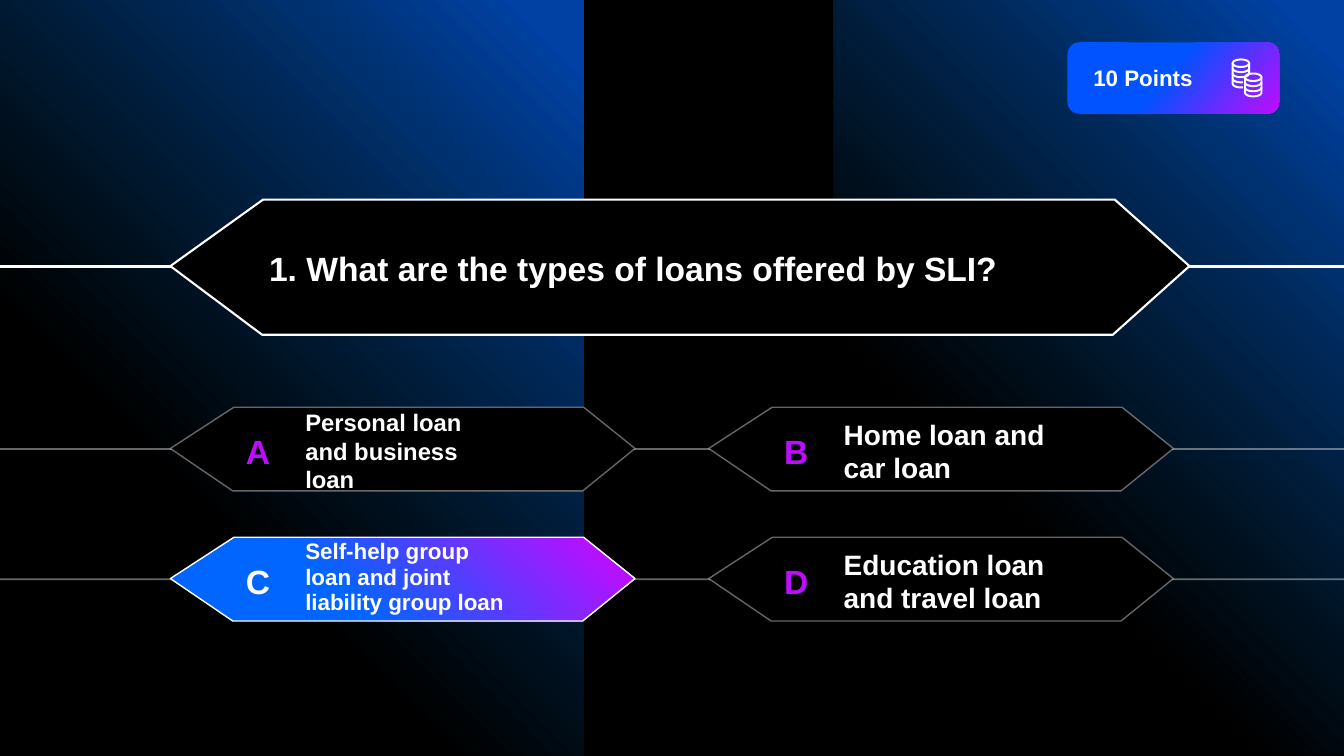
"""Build a quiz slide with one question, four answers and a points badge."""
import math

import lxml.etree
import pptx
import pptx.dml.color
import pptx.enum.shapes
import pptx.enum.text
import pptx.oxml
import pptx.oxml.ns
import pptx.util

Pt = pptx.util.Pt
SHAPES = pptx.enum.shapes.MSO_SHAPE
ALIGN = pptx.enum.text.PP_ALIGN
MIDDLE = pptx.enum.text.MSO_ANCHOR.MIDDLE
qn = pptx.oxml.ns.qn

WHITE, BLACK, PURPLE = "FFFFFF", "000000", "BD0DFF"
FONT = "Arial"
WIDTH, HEIGHT = 960, 540

QUESTION = "1. What are the types of loans offered by SLI?"
ANSWERS = [
    ("A", "Personal loan and business loan", 17, 1.0, 2.2),
    ("B", "Home loan and car loan", 20, 1.0, 2.2),
    ("C", "Self-help group loan and joint liability group loan", 16, 0.95, 0),
    ("D", "Education loan and travel loan", 20, 1.0, 2.2),
]
CORRECT = "C"
POINTS = "10 Points"

PANELS = [(0, 416.9, 540), (595.4, 364.6, 538.6)]
PANEL_STOPS = [(6, "0066FF", 63), (66, "0070C0", 0), (100, BLACK, 0)]
CORRECT_STOPS = [(7, PURPLE, 100), (64, "0066FF", 100)]
BADGE_STOPS = [(47, "0053FF", 100), (99, PURPLE, 100)]
TOP_RIGHT = '<a:path path="circle"><a:fillToRect l="100000" b="100000"/></a:path>'
DIAGONAL = '<a:lin ang="2400000" scaled="0"/>'

QUESTION_AT = (121.7, 142.6)
QUESTION_OUTLINE = [(0, 47.5), (66.2, 0), (674.6, 0), (727.9, 47.5), (673.2, 96.5), (65.5, 96.5)]
ANSWER_OUTLINE = [(0, 29.5), (45.4, 0), (295.2, 0), (331.9, 29.5), (294.5, 59.8), (44.6, 59.8)]
COLUMNS = (121.7, 506.2)
ROWS = (290.9, 383.8)

COIN_RX, COIN_RY, COIN_STEP = 5.9, 2.7, 3.65
COIN_STACKS = [
    (886.4, 45.2, [180, 180, 105, 105]),
    (895.2, 55.2, [180, 180, 180]),
]


def rgb(value):
    return pptx.dml.color.RGBColor.from_string(value)


def gradient(shape, stops, direction):
    stop_xml = "".join(
        f'<a:gs pos="{pos * 1000}"><a:srgbClr val="{color}"><a:alpha val="{alpha * 1000}"/></a:srgbClr></a:gs>'
        for pos, color, alpha in stops)
    shape.fill.background()
    empty = shape._element.spPr.find(qn("a:noFill"))
    empty.getparent().replace(empty, pptx.oxml.parse_xml(
        f'<a:gradFill {pptx.oxml.ns.nsdecls("a")} rotWithShape="1">'
        f'<a:gsLst>{stop_xml}</a:gsLst>{direction}</a:gradFill>'))


def outline(shape, width, opacity=100):
    shape.line.color.rgb = rgb(WHITE)
    shape.line.width = Pt(width)
    if opacity < 100:
        color = shape._element.spPr.find(qn("a:ln")).find(".//" + qn("a:srgbClr"))
        lxml.etree.SubElement(color, qn("a:alpha")).set("val", str(opacity * 1000))


def write(frame, text, size, color=WHITE, align=ALIGN.LEFT, spacing=1.0):
    frame.word_wrap = True
    frame.vertical_anchor = MIDDLE
    paragraph = frame.paragraphs[0]
    paragraph.alignment = align
    paragraph.line_spacing = spacing
    run = paragraph.add_run()
    run.text = text
    run.font.name = FONT
    run.font.size = Pt(size)
    run.font.bold = True
    run.font.color.rgb = rgb(color)


def add_text(slide, left, top, width, height, *content, **style):
    box = slide.shapes.add_textbox(Pt(left), Pt(top), Pt(width), Pt(height))
    write(box.text_frame, *content, **style)


def add_rule(slide, y, width, opacity=100):
    rule = slide.shapes.add_connector(
        pptx.enum.shapes.MSO_CONNECTOR.STRAIGHT, 0, Pt(y), Pt(WIDTH), Pt(y))
    outline(rule, width, opacity)
    lxml.etree.SubElement(rule._element.spPr, qn("a:effectLst"))


def add_outline(slide, contours, close):
    contours = [[(Pt(x), Pt(y)) for x, y in contour] for contour in contours]
    builder = slide.shapes.build_freeform(*contours[0][0])
    for index, contour in enumerate(contours):
        if index:
            builder.move_to(*contour[0])
        builder.add_line_segments(contour[1:], close=close)
    shape = builder.convert_to_shape()
    shape.shadow.inherit = False
    return shape


def add_hexagon(slide, left, top, corners):
    return add_outline(slide, [[(left + x, top + y) for x, y in corners]], True)


def add_filled(slide, kind, left, top, width, height, stops, direction):
    shape = slide.shapes.add_shape(kind, Pt(left), Pt(top), Pt(width), Pt(height))
    shape.shadow.inherit = False
    shape.line.fill.background()
    gradient(shape, stops, direction)
    return shape


def coin_arc(x, y, start, sweep):
    angles = [math.radians(start - step) for step in range(0, sweep + 1, 15)]
    return [(x + COIN_RX * math.cos(a), y + COIN_RY * math.sin(a)) for a in angles]


def add_coins(slide, x, top, sweeps):
    contours = [coin_arc(x, top, 360, 360)]
    for layer, sweep in enumerate(sweeps, 1):
        edge = coin_arc(x, top + layer * COIN_STEP, 180, sweep)
        contours.append([(x - COIN_RX, top + (layer - 1) * COIN_STEP)] + edge)
        if sweep == 180:
            contours[-1].append((x + COIN_RX, top + (layer - 1) * COIN_STEP))
    stack = add_outline(slide, contours, False)
    stack.fill.background()
    outline(stack, 1.4)


def add_answer(slide, left, top, letter, text, size, spacing, drop):
    correct = letter == CORRECT
    hexagon = add_hexagon(slide, left, top, ANSWER_OUTLINE)
    if correct:
        gradient(hexagon, CORRECT_STOPS, TOP_RIGHT)
    else:
        hexagon.fill.solid()
        hexagon.fill.fore_color.rgb = rgb(BLACK)
    outline(hexagon, 1, 100 if correct else 40)
    add_text(slide, left + 89.3, top + drop, 160, 57.6, text, size, spacing=spacing)
    add_text(slide, left + 43.9, top + 2.2, 37.4, 57.6, letter, 24,
             color=WHITE if correct else PURPLE, align=ALIGN.CENTER)


def main():
    deck = pptx.Presentation()
    deck.slide_width, deck.slide_height = Pt(WIDTH), Pt(HEIGHT)
    slide = deck.slides.add_slide(deck.slide_layouts[5])
    slide.background.fill.solid()
    slide.background.fill.fore_color.rgb = rgb(BLACK)

    for left, width, height in PANELS:
        add_filled(slide, SHAPES.RECTANGLE, left, 0, width, height, PANEL_STOPS, TOP_RIGHT)

    add_rule(slide, 190.4, 1.5)
    frame = add_hexagon(slide, *QUESTION_AT, QUESTION_OUTLINE)
    frame.fill.solid()
    frame.fill.fore_color.rgb = rgb(BLACK)
    outline(frame, 1.5)
    title = slide.shapes.title
    title.left, title.top, title.width, title.height = Pt(185), Pt(143.3), Pt(606.2), Pt(95.8)
    write(title.text_frame, QUESTION, 24)
    slide.shapes._spTree.append(title._element)

    for row, top in enumerate(ROWS):
        add_rule(slide, top + 29.9, 1.25, 40)
        for left, answer in zip(COLUMNS, ANSWERS[row * 2:row * 2 + 2]):
            add_answer(slide, left, top, *answer)

    badge = add_filled(slide, SHAPES.ROUNDED_RECTANGLE, 762.5, 30.2, 151.2, 51.1, BADGE_STOPS, DIAGONAL)
    badge.text_frame.margin_left = Pt(16)
    write(badge.text_frame, POINTS, 16)
    for stack in COIN_STACKS:
        add_coins(slide, *stack)
    deck.save("out.pptx")


if __name__ == "__main__":
    main()
